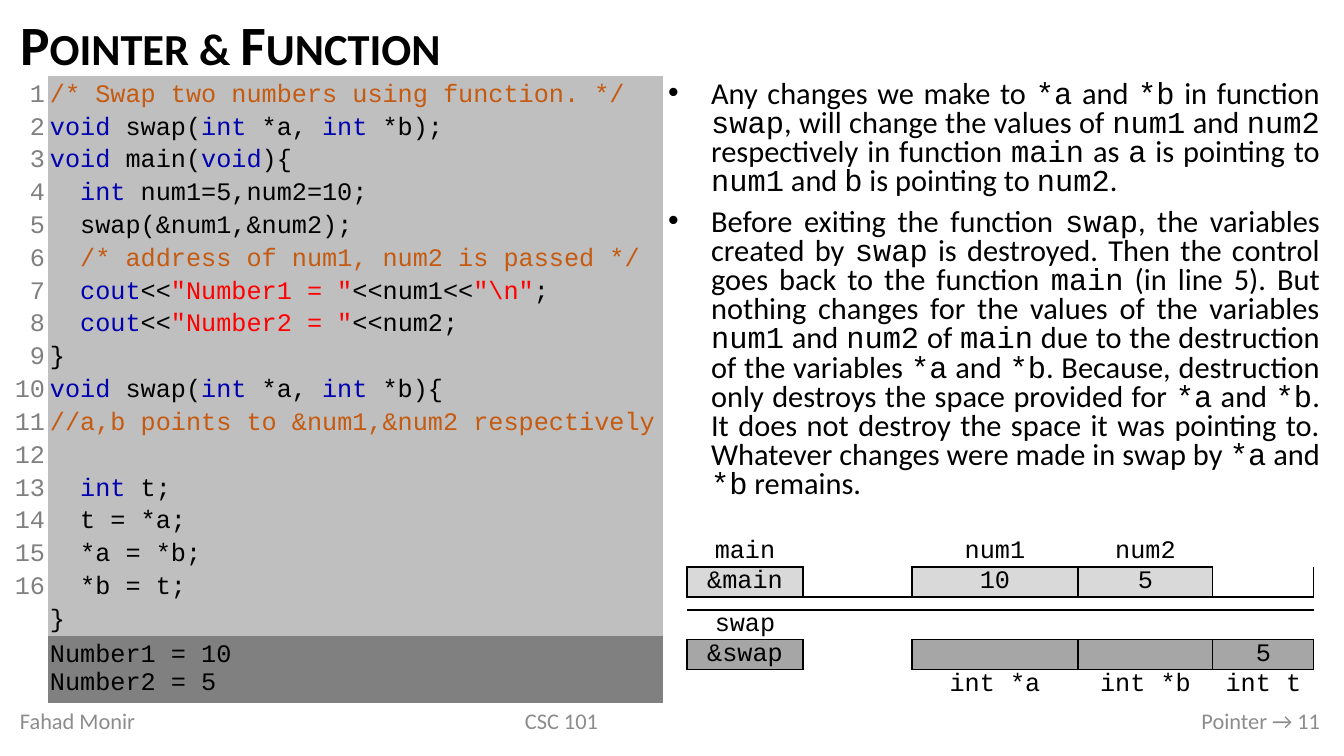
from dataclasses import dataclass

from lxml.etree import SubElement
from pptx import Presentation
from pptx.dml.color import RGBColor as Rgb
from pptx.enum.text import MSO_ANCHOR as Anchor, MSO_AUTO_SIZE as Fit, PP_ALIGN as Align
from pptx.oxml.ns import qn
from pptx.util import Emu, Pt


@dataclass(frozen=True)
class Theme:
    sans: str = "Calibri"
    mono: str = "Courier New"
    ink: str = "000000"
    key: str = "0000B0"
    note: str = "C55A11"
    quote: str = "FF0000"
    count: str = "808080"
    foot: str = "8C8C8C"
    panel: str = "BFBFBF"
    result: str = "808080"
    light: str = "D9D9D9"
    dark: str = "A6A6A6"
    title_pt: float = 39.6
    body_pt: float = 21.7
    code_pt: float = 18
    foot_pt: float = 16
    blank_pt: float = 6


@dataclass(frozen=True)
class Box:
    x: int
    y: int
    w: int
    h: int


@dataclass(frozen=True)
class Cell:
    row: int
    col: int
    text: str = ""
    span: int = 1
    fill: str = ""
    edges: str = ""


@dataclass(frozen=True)
class Foot:
    text: str
    box: Box
    align: Align


THEME = Theme()
PLAIN = "{2D5ABB26-0587-4C30-8999-92F81FD0307C}"
KEYS = {"void", "int", "cout"}

# Bars split runs: every second run of a point is code.
POINTS = [
    "Any changes we make to |*a| and |*b| in function |swap|, will change the values of "
    "|num1| and |num2| respectively in function |main| as |a| is pointing to |num1| and "
    "|b| is pointing to |num2|. ",
    "Before exiting the function |swap|, the variables created by |swap| is destroyed. "
    "Then the control goes back to the function |main| (in line 5). But nothing changes "
    "for the values of the variables |num1| and |num2| of |main| due to the destruction "
    "of the variables |*a| and |*b|. Because, destruction only destroys the space provided "
    "for |*a| and |*b|. It does not destroy the space it was pointing to. Whatever changes "
    "were made in swap by |*a| and |*b| remains. ",
]
CODE = [
    "/* Swap two numbers using function. */",
    "void| swap(|int| *a, |int| *b);",
    "void| main(|void|){",
    "  |int| num1=5,num2=10;",
    "  swap(&num1,&num2);",
    "  |/* address of num1, num2 is passed */",
    '  |cout|<<|"Number1 = "|<<num1<<|"\\n"|;',
    '  |cout|<<|"Number2 = "|<<num2;',
    "}",
    "void| swap(|int| *a, |int| *b){",
    "//a,b points to &num1,&num2 respectively",
    "  |int| t;",
    "  t = *a;",
    "  *a = *b;",
    "  *b = t;",
    "}",
]
RESULT = ["Number1 = 10", "Number2 = 5"]
CELLS = [
    Cell(0, 0, "main", edges="B"),
    Cell(0, 2, "num1", 2, edges="B"),
    Cell(0, 4, "num2", 2, edges="B"),
    Cell(1, 0, "&main", 1, THEME.light, "LRTB"),
    Cell(1, 1, edges="LR"),
    Cell(1, 2, "10", 2, THEME.light, "LRTB"),
    Cell(1, 4, "5", 2, THEME.light, "LRTB"),
    Cell(1, 6, edges="LB"),
    Cell(2, 0, span=7, edges="T"),
    Cell(3, 0, "swap", edges="B"),
    Cell(4, 0, "&swap", 1, THEME.dark, "LRTB"),
    Cell(4, 1, edges="LR"),
    Cell(4, 2, "", 2, THEME.dark, "LRTB"),
    Cell(4, 4, "", 2, THEME.dark, "LRTB"),
    Cell(4, 6, "5", 1, THEME.dark, "LRTB"),
    Cell(5, 2, "int *a", 2, edges="T"),
    Cell(5, 4, "int *b", 2, edges="T"),
    Cell(5, 6, "int t", edges="T"),
]
FEET = [
    Foot("Fahad Monir", Box(10, 701, 243, 40), Align.LEFT),
    Foot("CSC 101", Box(392, 701, 339, 40), Align.CENTER),
    Foot("Pointer → 11", Box(777, 701, 553, 40), Align.RIGHT),
]


def px(n: int) -> Emu:
    return Emu(round(n * 914400 / 100.8))


def place(shape, box: Box) -> None:
    shape.left, shape.top = px(box.x), px(box.y)
    shape.width, shape.height = px(box.w), px(box.h)


def style(run, face: str, size: float, color: str) -> None:
    run.font.name, run.font.size = face, Pt(size)
    run.font.color.rgb = Rgb.from_string(color)


def pad(cell, left: int, top: int, right: int, base: int) -> None:
    cell.margin_left, cell.margin_top = px(left), px(top)
    cell.margin_right, cell.margin_bottom = px(right), px(base)


def paint(cell, color: str) -> None:
    cell.fill.solid()
    cell.fill.fore_color.rgb = Rgb.from_string(color)


def edge(cell, sides: str) -> None:
    """Rule the named sides; call before filling, as the schema wants lines first."""
    props = cell._tc.get_or_add_tcPr()
    for side in sides:
        line = SubElement(props, qn(f"a:ln{side}"), w=str(Pt(1)))
        fill = SubElement(line, qn("a:solidFill"))
        SubElement(fill, qn("a:srgbClr"), val=THEME.ink)


def add_grid(slide, x: int, y: int, cols: list[int], rows: list[int]):
    """Add a table with no style of its own."""
    frame = slide.shapes.add_table(
        len(rows), len(cols), px(x), px(y), px(sum(cols)), px(sum(rows)))
    grid = frame.table
    grid.first_row = grid.horz_banding = False
    grid._tbl.tblPr.find(qn("a:tableStyleId")).text = PLAIN
    for col, wide in zip(grid.columns, cols):
        col.width = px(wide)
    for row, high in zip(grid.rows, rows):
        row.height = px(high)
    return grid


def add_title(slide) -> None:
    title = slide.shapes.title
    place(title, Box(10, 11, 1320, 73))
    frame = title.text_frame
    frame.text = "Pointer & Function"
    frame.auto_size, frame.vertical_anchor = Fit.NONE, Anchor.MIDDLE
    para = frame.paragraphs[0]
    para.alignment, para.line_spacing = Align.LEFT, 0.9
    run = para.runs[0]
    style(run, THEME.sans, THEME.title_pt, THEME.ink)
    run.font.bold = True
    run._r.get_or_add_rPr().set("cap", "small")


def add_points(slide) -> None:
    body = slide.placeholders[1]
    place(body, Box(658, 76, 672, 492))
    frame = body.text_frame
    frame.auto_size = Fit.NONE
    for i, point in enumerate(POINTS):
        para = frame.add_paragraph() if i else frame.paragraphs[0]
        para.alignment, para.line_spacing = Align.JUSTIFY, 0.8
        para.space_before = para.space_after = Pt(4)
        props = para._p.get_or_add_pPr()
        props.set("marL", str(px(43)))
        props.set("indent", str(-px(43)))
        for j, part in enumerate(point.split("|")):
            run = para.add_run()
            run.text = part
            style(run, THEME.mono if j % 2 else THEME.sans, THEME.body_pt, THEME.ink)


def add_memory(slide) -> None:
    cols, rows = [116, 109, 86, 80, 92, 43, 101], [30, 30, 13, 30, 30, 30]
    grid = add_grid(slide, 687, 537, cols, rows)
    for cell in grid.iter_cells():
        pad(cell, 7, 0, 7, 0)
        cell.vertical_anchor = Anchor.MIDDLE
    for item in CELLS:
        cell = grid.cell(item.row, item.col)
        last = item.col + item.span - 1
        for col in range(item.col, last + 1):
            edge(grid.cell(item.row, col), item.edges)
        if item.span > 1:
            cell.merge(grid.cell(item.row, last))
        if item.fill:
            paint(cell, item.fill)
        if item.text:
            para = cell.text_frame.paragraphs[0]
            para.text, para.alignment = item.text, Align.CENTER
            style(para.runs[0], THEME.mono, THEME.code_pt, THEME.ink)
    for cell in grid.iter_cells():
        if not cell.text_frame.text:
            para = cell.text_frame.paragraphs[0]._p
            SubElement(para, qn("a:endParaRPr"), sz=str(Pt(THEME.blank_pt).centipoints))


def tint(part: str) -> str:
    """Pick the colour of a piece of code."""
    if part in KEYS:
        return THEME.key
    return {"/": THEME.note, '"': THEME.quote}.get(part[0], THEME.ink)


def write(cell, lines: list[str]) -> None:
    """Set lines of code, leaving a line's gap after a // note."""
    for i, line in enumerate(lines):
        para = cell.text_frame.add_paragraph() if i else cell.text_frame.paragraphs[0]
        para.line_spacing = 1.15
        if line.startswith("//"):
            para.space_after = Pt(23.4)
        for part in line.split("|"):
            run = para.add_run()
            run.text = part
            style(run, THEME.mono, THEME.code_pt, tint(part))


def add_code(slide) -> None:
    grid = add_grid(slide, 10, 76, [38, 615], [559, 67])
    for cell in grid.iter_cells():
        pad(cell, 2, 1, 3, 1)
    para = grid.cell(0, 0).text_frame.paragraphs[0]
    para.text = "\n".join(str(n + 1) for n in range(len(CODE)))
    para.alignment, para.line_spacing = Align.RIGHT, 1.15
    for run in para.runs:
        style(run, THEME.mono, THEME.code_pt, THEME.count)
    for row, (lines, fill) in enumerate([(CODE, THEME.panel), (RESULT, THEME.result)]):
        write(grid.cell(row, 1), lines)
        paint(grid.cell(row, 1), fill)
    grid.cell(1, 1).text_frame.paragraphs[-1].line_spacing = 1.0


def add_foot(slide, foot: Foot) -> None:
    box = slide.shapes.add_textbox(0, 0, 0, 0)
    place(box, foot.box)
    frame = box.text_frame
    frame.text, frame.word_wrap = foot.text, True
    frame.vertical_anchor = Anchor.MIDDLE
    para = frame.paragraphs[0]
    para.alignment = foot.align
    style(para.runs[0], THEME.sans, THEME.foot_pt, THEME.foot)


def main() -> None:
    deck = Presentation()
    deck.slide_width, deck.slide_height = px(1344), px(756)
    slide = deck.slides.add_slide(deck.slide_layouts[1])
    add_title(slide)
    add_points(slide)
    add_memory(slide)
    add_code(slide)
    for foot in FEET:
        add_foot(slide, foot)
    deck.save("out.pptx")


if __name__ == "__main__":
    main()
